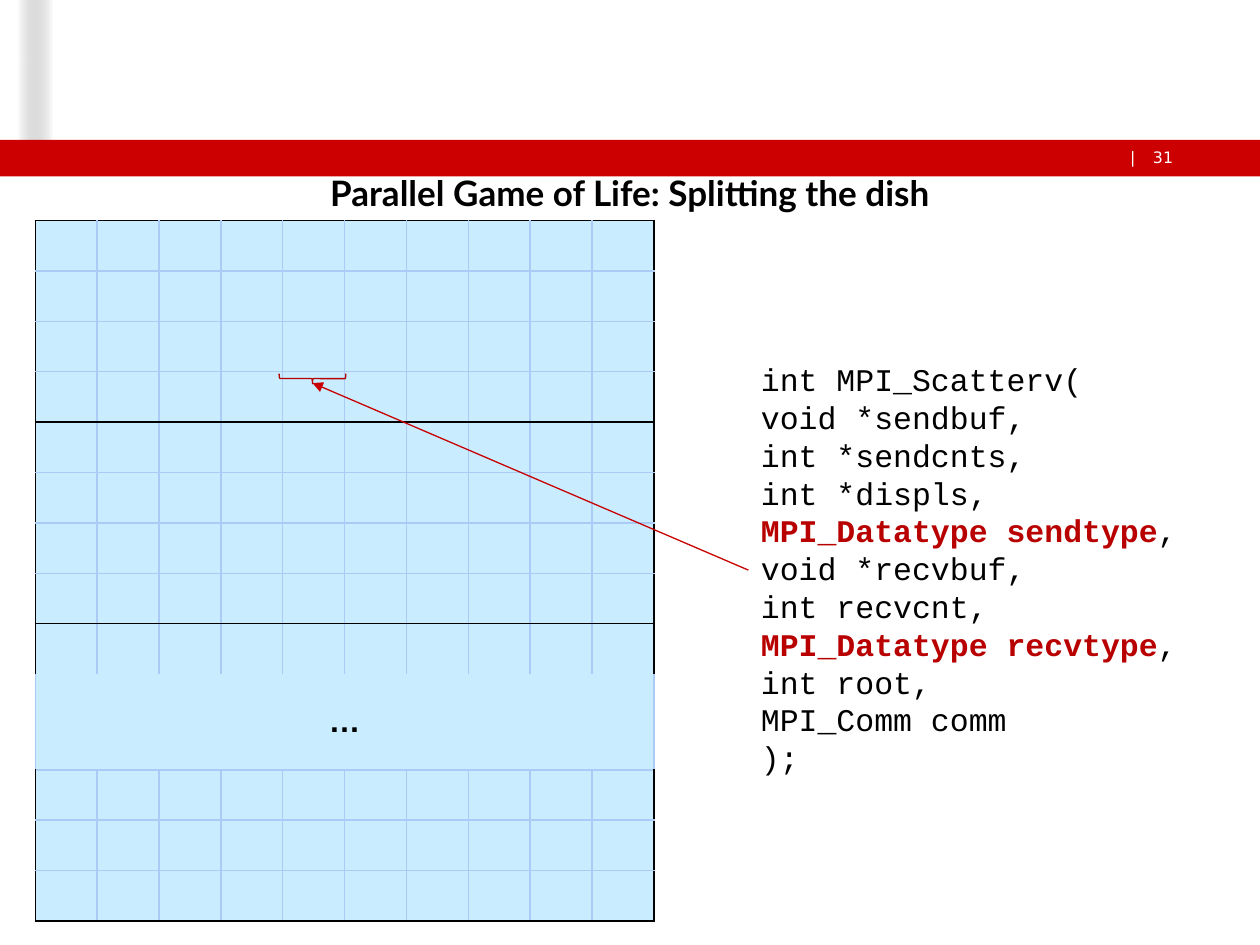
from lxml.etree import SubElement
from pptx import Presentation
from pptx.dml.color import RGBColor
from pptx.enum.dml import MSO_FILL
from pptx.enum.shapes import MSO_CONNECTOR, MSO_SHAPE
from pptx.enum.text import MSO_ANCHOR, MSO_AUTO_SIZE, PP_ALIGN
from pptx.oxml.ns import qn
from pptx.util import Inches, Pt

BLACK, WHITE = "000000", "FFFFFF"
GRID_BLUE, DISH_BLUE = "AACBF6", "C9ECFF"
COLUMNS, ROWS, GAP_ROW = 10, 13, 9
BLOCK_TOPS, BLOCK_BOTTOMS = (0, 4, 8), (3, 7, 12)

SCATTERV_CODE = [
    [("int MPI_Scatterv(", False)],
    [("void *sendbuf,", False)],
    [("int *sendcnts,", False)],
    [("int *displs, ", False), ("MPI_Datatype sendtype", True), (", void *recvbuf,", False)],
    [("int recvcnt, ", False), ("MPI_Datatype recvtype", True), (", int root,", False)],
    [("MPI_Comm comm", False)],
    [(");", False)],
]


def rgb(value):
    return RGBColor.from_string(value)


def box(left, top, width, height):
    return Inches(left), Inches(top), Inches(width), Inches(height)


def style_font(font, name, size, color, bold=False):
    font.name = name
    font.size = Pt(size)
    font.color.rgb = rgb(color)
    font.bold = bold


def add_band(slide, bounds, color):
    band = slide.shapes.add_shape(MSO_SHAPE.RECTANGLE, *box(*bounds))
    band.shadow.inherit = False
    band.fill.solid()
    band.fill.fore_color.rgb = rgb(color)
    band.line.fill.background()
    return band


def fade_out(band, start, end):
    band.fill.gradient()
    band.fill.gradient_angle = 0
    first, last = band.fill.gradient_stops
    first.position, last.position = 0, 1
    first.color.rgb, last.color.rgb = rgb(start), rgb(end)
    end_color = next(c for c in band.element.iter(qn("a:srgbClr")) if c.get("val") == end)
    SubElement(end_color, qn("a:alpha"), val="0")


def add_footer_text(slide, bounds, text, align):
    footer = slide.shapes.add_textbox(*box(*bounds))
    frame = footer.text_frame
    frame.margin_left = frame.margin_right = frame.margin_top = frame.margin_bottom = 0
    frame.text = text
    frame.paragraphs[0].alignment = align
    style_font(frame.paragraphs[0].runs[0].font, "DejaVu Sans", 9, WHITE)


def set_title(slide, text):
    title = slide.shapes.title
    title.left, title.top, title.width, title.height = box(1.2, 1.31, 7.6, 0.44)
    frame = title.text_frame
    frame.text = text
    frame.vertical_anchor = MSO_ANCHOR.MIDDLE
    frame.auto_size = MSO_AUTO_SIZE.NONE
    frame.paragraphs[0].alignment = PP_ALIGN.CENTER
    style_font(frame.paragraphs[0].runs[0].font, "Lato", 20, BLACK, True)


def set_border(cell, side, color):
    line = SubElement(cell._tc.get_or_add_tcPr(), qn(f"a:ln{side}"), w=str(Pt(1)))
    if color is None:
        SubElement(line, qn("a:noFill"))
    else:
        SubElement(SubElement(line, qn("a:solidFill")), qn("a:srgbClr"), val=color)


def border_colors(row, column):
    in_block = row != GAP_ROW
    left = BLACK if in_block and column == 0 else GRID_BLUE
    right = BLACK if in_block and column == COLUMNS - 1 else GRID_BLUE
    top = BLACK if row in BLOCK_TOPS else GRID_BLUE
    bottom = BLACK if row in BLOCK_BOTTOMS else GRID_BLUE
    if row == GAP_ROW:
        top = None
    if row == GAP_ROW - 1:
        bottom = None
    return {"L": left, "R": right, "T": top, "B": bottom}


def add_dish(slide):
    dish = slide.shapes.add_table(ROWS, COLUMNS, *box(0.28, 1.75, 4.91, 5.56)).table
    dish.first_row = dish.horz_banding = False
    for column in dish.columns:
        column.width = Inches(4.91 / COLUMNS)
    for row_index, row in enumerate(dish.rows):
        row.height = Inches(0.76 if row_index == GAP_ROW else 0.4)
        for column_index, cell in enumerate(row.cells):
            cell.margin_top = cell.margin_bottom = 0
            for side, color in border_colors(row_index, column_index).items():
                set_border(cell, side, color)
            cell.fill.solid()
            cell.fill.fore_color.rgb = rgb(DISH_BLUE)
    gap = dish.cell(GAP_ROW, 0)
    gap.merge(dish.cell(GAP_ROW, COLUMNS - 1))
    gap.text_frame.text = "…"
    gap.vertical_anchor = MSO_ANCHOR.MIDDLE
    ellipsis = gap.text_frame.paragraphs[0]
    ellipsis.alignment = PP_ALIGN.CENTER
    style_font(ellipsis.runs[0].font, "Arial", 18, BLACK, True)


def add_code(slide, lines):
    code = slide.shapes.add_textbox(*box(5.94, 2.81, 3.52, 3.43))
    frame = code.text_frame
    frame.word_wrap = True
    for index, pieces in enumerate(lines):
        paragraph = frame.paragraphs[0] if index == 0 else frame.add_paragraph()
        for text, highlighted in pieces:
            run = paragraph.add_run()
            run.text = text
            style_font(run.font, "Courier New", 18, "B90000" if highlighted else BLACK, highlighted)
    return code


def add_arrow(slide, source, tip_x, tip_y):
    arrow = slide.shapes.add_connector(
        MSO_CONNECTOR.STRAIGHT, Inches(5.94), Inches(4.52), Inches(tip_x), Inches(tip_y))
    arrow.begin_connect(source, 1)
    arrow.line.color.rgb = rgb("C80000")
    arrow.line.width = Pt(0.75)
    SubElement(arrow.line._get_or_add_ln(), qn("a:tailEnd"), type="triangle")
    SubElement(arrow.element.spPr, qn("a:effectLst"))


def add_cell_brace(slide):
    brace = slide.shapes.add_shape(MSO_SHAPE.RIGHT_BRACE, *box(2.44, 2.74, 0.08, 0.53))
    brace.rotation = 90
    brace.shadow.inherit = False
    brace.fill.background()
    brace.line.color.rgb = rgb("B50000")
    brace.line.width = Pt(0.75)


def main():
    presentation = Presentation()
    presentation.slide_width, presentation.slide_height = Inches(10), Inches(7.5)
    slide = presentation.slides.add_slide(presentation.slide_layouts[5])
    fade = add_band(slide, (0.14, 0, 0.28, 1.11), WHITE)
    fade_out(fade, WHITE, "757575")
    add_band(slide, (0, 0, 0.14, 1.11), WHITE)
    add_band(slide, (0, 1.11, 10, 0.29), "CC0000")
    add_footer_text(slide, (9.03, 1.17, 0.28, 0.15), "31", PP_ALIGN.RIGHT)
    add_footer_text(slide, (8.97, 1.17, 0.06, 0.15), "|", PP_ALIGN.LEFT)
    set_title(slide, "Parallel Game of Life: Splitting the dish")
    add_dish(slide)
    code = add_code(slide, SCATTERV_CODE)
    add_arrow(slide, code, 2.48, 3.04)
    add_cell_brace(slide)
    presentation.save("out.pptx")


if __name__ == "__main__":
    main()
